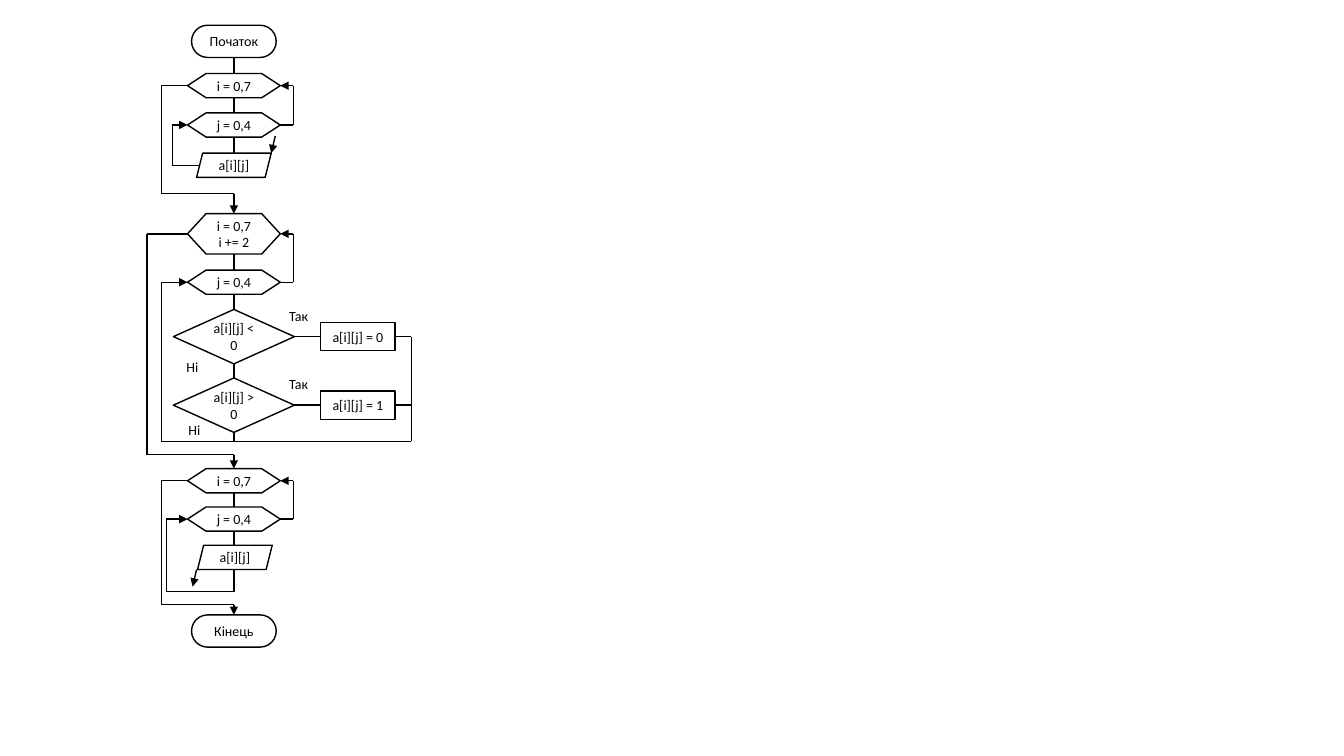
import dataclasses
import itertools
import typing

import pptx
import pptx.dml.color
import pptx.enum.shapes
import pptx.enum.text
import pptx.oxml
import pptx.oxml.ns
import pptx.util

KIND = pptx.enum.shapes.MSO_SHAPE
TOP, LEFT, BOTTOM, RIGHT = range(4)
CELL = pptx.util.Inches(0.01)
MID = 87


@dataclasses.dataclass(frozen=True)
class Theme:
    ink: pptx.dml.color.RGBColor = pptx.dml.color.RGBColor(0, 0, 0)
    paper: pptx.dml.color.RGBColor = pptx.dml.color.RGBColor(255, 255, 255)
    font: str = "Calibri"
    size: int = pptx.util.Pt(10)
    line: int = pptx.util.Pt(1)


THEME = Theme()


def add_run(para, text):
    run = para.add_run()
    run.text = text
    run.font.name = THEME.font
    run.font.size = THEME.size
    run.font.color.rgb = THEME.ink


def draw_line(line):
    line.color.rgb = THEME.ink
    line.width = THEME.line


@dataclasses.dataclass
class Box:
    slide: typing.Any
    left: int
    top: int

    def spot(self, end):
        if isinstance(end[0], int):
            return (self.left + end[0]) * CELL, (self.top + end[1]) * CELL
        part, site = end
        across = {LEFT: 0, RIGHT: part.width}.get(site, part.width // 2)
        down = {TOP: 0, BOTTOM: part.height}.get(site, part.height // 2)
        return part.left + across, part.top + down

    def node(self, kind, row, wide, high, *lines, mid=MID, wrap=False):
        x, y = self.spot((mid - wide // 2, row))
        part = self.slide.shapes.add_shape(kind, x, y, wide * CELL, high * CELL)
        part.shadow.inherit = False
        part.fill.solid()
        part.fill.fore_color.rgb = THEME.paper
        draw_line(part.line)
        frame = part.text_frame
        frame.word_wrap = wrap
        frame.vertical_anchor = pptx.enum.text.MSO_ANCHOR.MIDDLE
        frame.margin_top = frame.margin_bottom = 0
        frame.margin_left = frame.margin_right = 8 * CELL
        for index, text in enumerate(lines):
            para = frame.add_paragraph() if index else frame.paragraphs[0]
            para.alignment = pptx.enum.text.PP_ALIGN.CENTER
            add_run(para, text)
        return part

    def note(self, col, row, wide, text):
        x, y = self.spot((col, row))
        part = self.slide.shapes.add_textbox(x, y, wide * CELL, 27 * CELL)
        frame = part.text_frame
        frame.word_wrap = False
        frame.auto_size = pptx.enum.text.MSO_AUTO_SIZE.SHAPE_TO_FIT_TEXT
        add_run(frame.paragraphs[0], text)

    def wire(self, *ends, arrow=False):
        for start, stop in itertools.pairwise(ends):
            link = self.slide.shapes.add_connector(
                pptx.enum.shapes.MSO_CONNECTOR.STRAIGHT,
                *self.spot(start), *self.spot(stop))
            if not isinstance(start[0], int):
                link.begin_connect(*start)
            if not isinstance(stop[0], int):
                link.end_connect(*stop)
            draw_line(link.line)
            props = link.element.spPr
            if arrow and stop is ends[-1]:
                line = props.find(pptx.oxml.ns.qn("a:ln"))
                tail = pptx.oxml.parse_xml(
                    f'<a:tailEnd {pptx.oxml.ns.nsdecls("a")} type="triangle"/>')
                line.append(tail)
            props.append(pptx.oxml.parse_xml(
                f'<a:effectLst {pptx.oxml.ns.nsdecls("a")}/>'))

    def level(self, part):
        return (part.top + part.height // 2) // CELL - self.top

    def leave(self, part, lane, row, goal):
        self.wire((part, LEFT), (lane, self.level(part)), (lane, row),
                  (MID, row), (goal, TOP), arrow=True)


def add_loops(box, row, high, *lines):
    outer = box.node(KIND.FLOWCHART_PREPARATION, 0, 92, high, *lines)
    inner = box.node(KIND.FLOWCHART_PREPARATION, row, 92, 24, "j = 0,4")
    box.wire((outer, BOTTOM), (inner, TOP))
    box.wire((inner, RIGHT), (146, box.level(inner)),
             (146, box.level(outer)), (outer, RIGHT), arrow=True)
    return outer, inner


def add_input(box):
    outer, inner = add_loops(box, 39, 24, "i = 0,7")
    box.node(KIND.PARALLELOGRAM, 79, 74, 24, "a[i][j]")
    box.wire((128, 62), (124, 79), arrow=True)
    box.wire((inner, BOTTOM), (MID, 79))
    box.wire((53, 91), (26, 91), (26, 51), (inner, LEFT), arrow=True)
    return outer


def add_tests(box):
    outer, inner = add_loops(box, 56, 40, "i = 0,7", "i += 2")
    above = inner
    for step, (test, act) in enumerate((("<", 0), (">", 1))):
        row = 95 + 68 * step
        choice = box.node(KIND.FLOWCHART_DECISION, row, 120, 54,
                          f"a[i][j] {test} 0", wrap=True)
        action = box.node(KIND.RECTANGLE, row + 13, 74, 28,
                          f"a[i][j] = {act}", mid=210)
        box.wire((above, BOTTOM), (choice, TOP))
        box.wire((choice, RIGHT), (action, LEFT))
        box.wire((action, RIGHT), (263, row + 27))
        box.note(132, row - 7, 40, "Так")
        above = choice
    box.wire((above, BOTTOM), (MID, 226))
    box.wire((263, 122), (263, 226), (15, 226), (15, 68),
             (inner, LEFT), arrow=True)
    box.note(30, 139, 32, "Ні")
    box.note(32, 201, 32, "Ні")
    return outer


def add_output(box):
    outer, inner = add_loops(box, 38, 24, "i = 0,7")
    box.node(KIND.PARALLELOGRAM, 76, 74, 24, "a[i][j]", mid=88)
    box.wire((50, 100), (46, 117), arrow=True)
    box.wire((inner, BOTTOM), (MID, 76))
    box.wire((MID, 100), (MID, 122), (20, 122), (20, 50),
             (inner, LEFT), arrow=True)
    return outer


def add_cap(box, text):
    cap = box.node(KIND.ROUNDED_RECTANGLE, 0, 84, 32, text)
    cap.adjustments[0] = 0.5
    return cap


def main():
    deck = pptx.Presentation()
    deck.slide_width = pptx.util.Inches(13.33)
    deck.slide_height = pptx.util.Inches(7.5)
    slide = deck.slides.add_slide(deck.slide_layouts[6])
    first, fill, check, show, last = (
        Box(slide, 145, top) for top in (25, 73, 212, 465, 610))
    start = add_cap(first, "Початок")
    read = add_input(fill)
    test = add_tests(check)
    write = add_output(show)
    stop = add_cap(last, "Кінець")
    first.wire((start, BOTTOM), (read, TOP))
    fill.leave(read, 15, 119, test)
    check.leave(test, 1, 239, write)
    show.leave(write, 15, 135, stop)
    deck.save("out.pptx")


if __name__ == "__main__":
    main()
